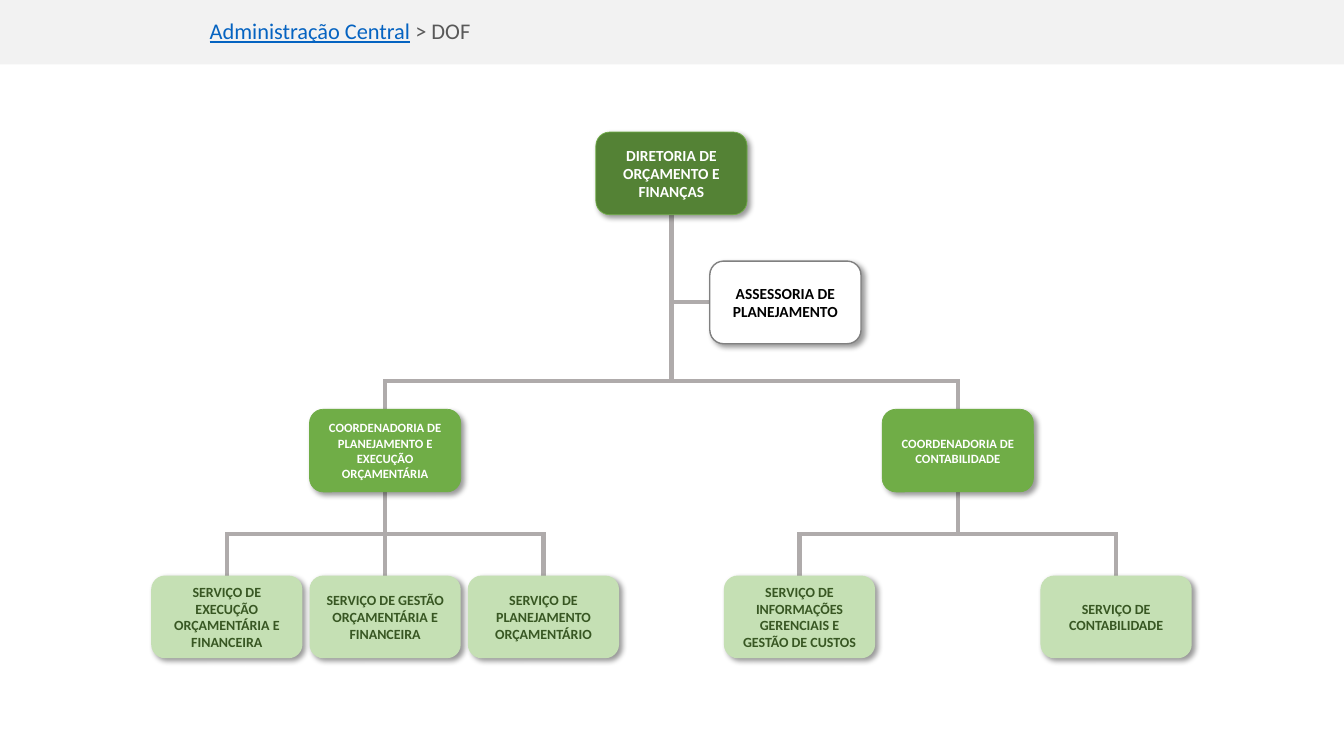
"""Build the organisation chart slide of the DOF directorate."""
from lxml.etree import SubElement
from pptx import Presentation
from pptx.dml.color import RGBColor
from pptx.enum.shapes import MSO_CONNECTOR, MSO_SHAPE
from pptx.enum.text import MSO_ANCHOR, PP_ALIGN
from pptx.oxml import parse_xml
from pptx.oxml.ns import nsdecls, qn
from pptx.util import Inches, Pt

BOX_WIDTH, BOX_HEIGHT = 1.5, 0.82
DIRECTORATE_TOP, ADVISORY_TOP, COORDINATION_TOP, SERVICE_TOP = 1.31, 2.59, 4.06, 5.71
CENTER, COORDINATION_OFFSET, SERVICE_OFFSET = 6.66, 2.84, 1.57
LEFT_BRANCH, RIGHT_BRANCH = CENTER - COORDINATION_OFFSET, CENTER + COORDINATION_OFFSET
SHADOW = (
    f'<a:effectLst {nsdecls("a")}><a:outerShdw blurRad="50800" dist="38100" dir="2700000" '
    'algn="tl" rotWithShape="0"><a:srgbClr val="000000"><a:alpha val="40000"/></a:srgbClr>'
    '</a:outerShdw></a:effectLst>'
)

# name: text, horizontal center, top, level
UNITS = {
    "directorate": ("DIRETORIA DE ORÇAMENTO E FINANÇAS", CENTER, DIRECTORATE_TOP, "directorate"),
    "advisory": ("ASSESSORIA DE PLANEJAMENTO", 7.79, ADVISORY_TOP, "advisory"),
    "budget": ("COORDENADORIA DE PLANEJAMENTO E EXECUÇÃO ORÇAMENTÁRIA",
               LEFT_BRANCH, COORDINATION_TOP, "coordination"),
    "accounting": ("COORDENADORIA DE CONTABILIDADE", RIGHT_BRANCH, COORDINATION_TOP, "coordination"),
    "execution service": ("SERVIÇO DE EXECUÇÃO ORÇAMENTÁRIA E FINANCEIRA",
                          LEFT_BRANCH - SERVICE_OFFSET, SERVICE_TOP, "service"),
    "management service": ("SERVIÇO DE GESTÃO ORÇAMENTÁRIA E FINANCEIRA",
                           LEFT_BRANCH, SERVICE_TOP, "service"),
    "planning service": ("SERVIÇO DE PLANEJAMENTO ORÇAMENTÁRIO",
                         LEFT_BRANCH + SERVICE_OFFSET, SERVICE_TOP, "service"),
    "information service": ("SERVIÇO DE INFORMAÇÕES GERENCIAIS E GESTÃO DE CUSTOS",
                            RIGHT_BRANCH - SERVICE_OFFSET, SERVICE_TOP, "service"),
    "accounting service": ("SERVIÇO DE CONTABILIDADE",
                           RIGHT_BRANCH + SERVICE_OFFSET, SERVICE_TOP, "service"),
}

# level: fill, line, line width, text colour, text size
STYLES = {
    "directorate": ("548235", "70AD47", 0.5, "FFFFFF", 11),
    "advisory": ("FFFFFF", "808080", 1, "000000", 11),
    "coordination": ("70AD47", "70AD47", 0.5, "FFFFFF", 9),
    "service": ("C5E0B4", None, 0, "385723", 10),
}

# parent, child, side of the child, bend position
LINKS = [
    ("directorate", "budget", 0, 85400),
    ("directorate", "accounting", 0, 85400),
    ("budget", "execution service", 0, 50000),
    ("budget", "planning service", 0, 50000),
    ("budget", "management service", 0, None),
    ("accounting", "information service", 0, 50000),
    ("accounting", "accounting service", 0, 50000),
    ("directorate", "advisory", 1, None),
]


def color(value):
    """Turn a hex string into a colour."""
    return RGBColor.from_string(value)


def link(parent, child, side, bend):
    """Join the bottom of a parent to a side of a child, going down first."""
    straight = parent.left == child.left
    kind = MSO_CONNECTOR.STRAIGHT if straight else MSO_CONNECTOR.ELBOW
    connector = slide.shapes.add_connector(kind, parent.left, parent.top, child.left, child.top)
    connector.begin_connect(parent, 2)
    connector.end_connect(child, side)
    properties = connector._element.spPr
    if not straight:
        start_x, start_y = connector.begin_x, connector.begin_y
        run, drop = connector.end_x - start_x, connector.end_y - start_y
        connector.width, connector.height = drop, abs(run)
        connector.left = start_x + (run - drop) // 2
        connector.top = start_y + (drop - abs(run)) // 2
        frame = properties.find(qn("a:xfrm"))
        frame.set("rot", "5400000" if run < 0 else "16200000")
        frame.set("flipH", "0" if run < 0 else "1")
        geometry = properties.find(qn("a:prstGeom"))
        if bend is None:
            geometry.set("prst", "bentConnector2")
        else:
            guide = SubElement(geometry.find(qn("a:avLst")), qn("a:gd"))
            guide.set("name", "adj1")
            guide.set("fmla", f"val {bend}")
    connector.line.color.rgb = color("AFABAB")
    connector.line.width = Pt(3)
    SubElement(properties.find(qn("a:ln")), qn("a:miter")).set("lim", "800000")
    SubElement(properties, qn("a:effectLst"))
    return connector


presentation = Presentation()
presentation.slide_width, presentation.slide_height = Inches(13.33), Inches(7.5)
slide = presentation.slides.add_slide(presentation.slide_layouts[5])

header = slide.shapes.add_shape(MSO_SHAPE.RECTANGLE, 0, 0, Inches(13.33), Inches(0.64))
header.shadow.inherit = False
header.fill.solid()
header.fill.fore_color.rgb = color("F2F2F2")
header.line.fill.background()
slide.shapes._spTree.insert(2, header._element)

title = slide.shapes.title
title.left, title.top = Inches(1.98), Inches(0.12)
title.width, title.height = Inches(11.24), Inches(0.52)
title.text_frame.vertical_anchor = MSO_ANCHOR.TOP
title_paragraph = title.text_frame.paragraphs[0]
title_paragraph.alignment = PP_ALIGN.LEFT
for text, text_color, underline in [("Administração Central", "0563C1", True),
                                    (" > DOF", "595959", False)]:
    run = title_paragraph.add_run()
    run.text = text
    run.font.name, run.font.size = "Calibri", Pt(16)
    run.font.color.rgb = color(text_color)
    run.font.underline = underline

boxes = {}
for name, (text, center, top, level) in UNITS.items():
    fill, line, line_width, text_color, size = STYLES[level]
    box = slide.shapes.add_shape(MSO_SHAPE.ROUNDED_RECTANGLE, Inches(center - BOX_WIDTH / 2),
                                 Inches(top), Inches(BOX_WIDTH), Inches(BOX_HEIGHT))
    box.fill.solid()
    box.fill.fore_color.rgb = color(fill)
    if line:
        box.line.color.rgb = color(line)
        box.line.width = Pt(line_width)
    else:
        box.line.fill.background()
    box._element.spPr.append(parse_xml(SHADOW))
    box.text_frame.word_wrap = True
    box.text_frame.vertical_anchor = MSO_ANCHOR.MIDDLE
    paragraph = box.text_frame.paragraphs[0]
    paragraph.alignment = PP_ALIGN.CENTER
    run = paragraph.add_run()
    run.text = text
    run.font.name, run.font.size, run.font.bold = "Calibri", Pt(size), True
    run.font.color.rgb = color(text_color)
    boxes[name] = box

for position, (parent, child, side, bend) in enumerate(LINKS):
    connector = link(boxes[parent], boxes[child], side, bend)
    slide.shapes._spTree.insert(3 + position, connector._element)

presentation.save("out.pptx")
